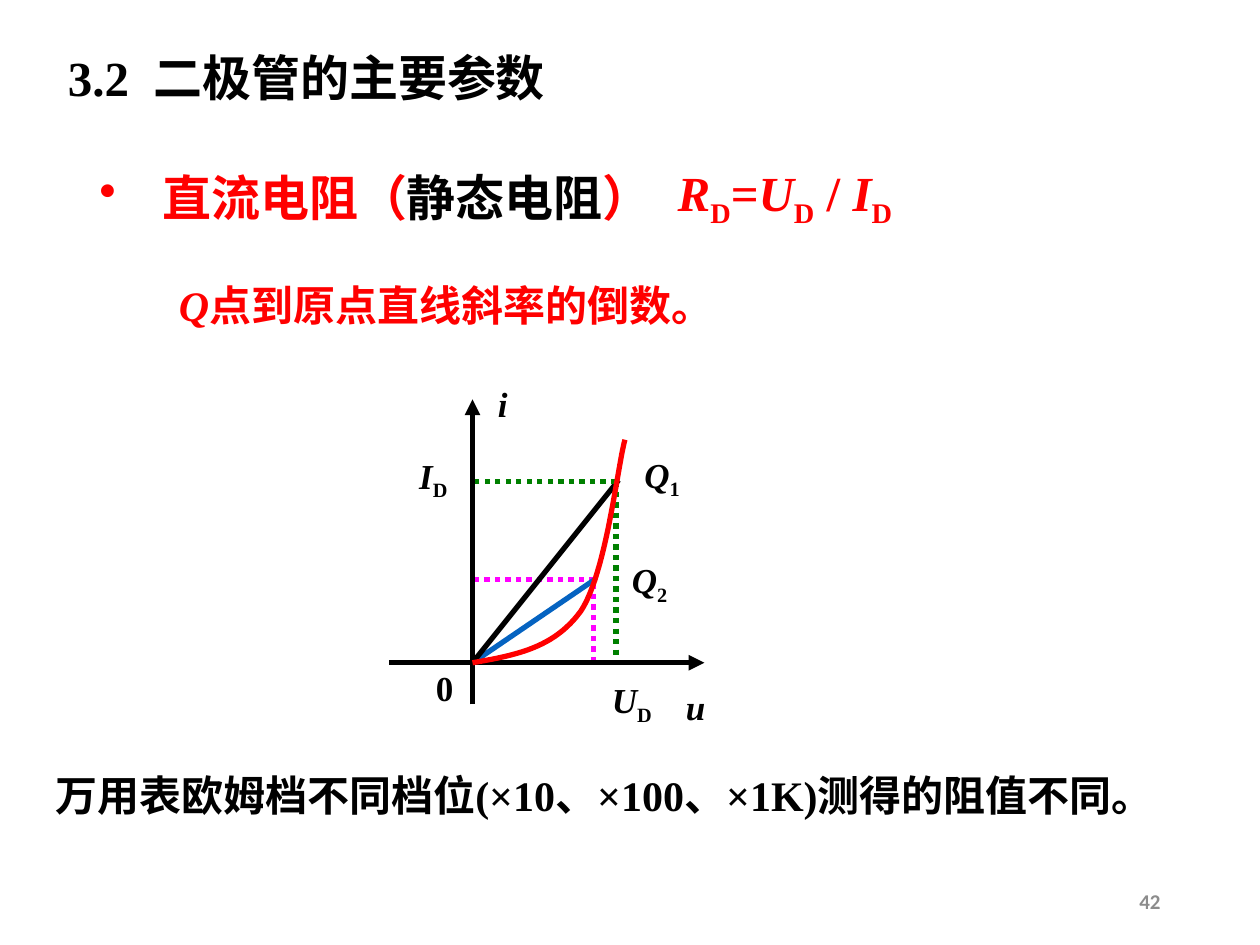
from dataclasses import dataclass

from lxml import etree
from pptx import Presentation
from pptx.dml.color import RGBColor
from pptx.enum.dml import MSO_LINE
from pptx.enum.shapes import MSO_CONNECTOR
from pptx.enum.text import MSO_ANCHOR, MSO_AUTO_SIZE, PP_ALIGN
from pptx.oxml.ns import qn
from pptx.util import Inches, Pt

BLACK = RGBColor(0x00, 0x00, 0x00)
RED = RGBColor(0xFF, 0x00, 0x00)
GREEN = RGBColor(0x00, 0x80, 0x00)
MAGENTA = RGBColor(0xFF, 0x00, 0xFF)
BLUE = RGBColor(0x05, 0x63, 0xC1)
GRAY = RGBColor(0x8C, 0x8C, 0x8C)
LEFT, CENTER, RIGHT = PP_ALIGN.LEFT, PP_ALIGN.CENTER, PP_ALIGN.RIGHT
TOP, MIDDLE = MSO_ANCHOR.TOP, MSO_ANCHOR.MIDDLE
FIT_SHAPE, NO_FIT = MSO_AUTO_SIZE.SHAPE_TO_FIT_TEXT, MSO_AUTO_SIZE.NONE
DOTTED = MSO_LINE.ROUND_DOT
STRAIGHT = MSO_CONNECTOR.STRAIGHT
LINE_WIDTH = Pt(3)

Point = tuple[float, float]


@dataclass
class Piece:
    text: str
    italic: bool = False
    subscript: bool = False
    color: RGBColor | None = None


@dataclass
class TextBlock:
    box: tuple[float, float, float, float]
    pieces: list[Piece]
    size: int
    color: RGBColor = BLACK
    font: str = "Times New Roman"
    align: PP_ALIGN = LEFT
    anchor: MSO_ANCHOR = TOP
    wrap: bool = True
    fit: MSO_AUTO_SIZE = FIT_SHAPE
    line_spacing: float | None = None
    space_before: int = 50
    bullet: str = ""


@dataclass
class Line:
    start: Point
    end: Point
    color: RGBColor = BLACK
    dotted: bool = False
    arrow: bool = False


def symbol(letter: str, index: str = "") -> list[Piece]:
    """Italic quantity with an optional upright subscript."""
    pieces = [Piece(letter, italic=True)]
    if index:
        pieces.append(Piece(index, subscript=True))
    return pieces


def axis_label(left: float, top: float, width: float, pieces: list[Piece],
               wrap: bool = False) -> TextBlock:
    return TextBlock((left, top, width, 0.43), pieces, 20,
                     align=CENTER, anchor=MIDDLE, wrap=wrap)


def draw_text(slide, block: TextBlock) -> None:
    shape = slide.shapes.add_textbox(*map(Inches, block.box))
    frame = shape.text_frame
    frame.word_wrap = block.wrap
    frame.auto_size = block.fit
    frame.vertical_anchor = block.anchor
    paragraph = frame.paragraphs[0]
    paragraph.alignment = block.align
    if block.line_spacing:
        paragraph.line_spacing = block.line_spacing
    properties = paragraph._p.get_or_add_pPr()
    if block.space_before:
        spacing = etree.SubElement(properties, qn("a:spcBef"))
        etree.SubElement(spacing, qn("a:spcPct"), val=str(block.space_before * 1000))
    if block.bullet:
        properties.set("marL", str(Inches(0.5)))
        properties.set("indent", str(Inches(-0.5)))
        etree.SubElement(properties, qn("a:buChar"), char=block.bullet)
    for piece in block.pieces:
        run = paragraph.add_run()
        run.text = piece.text
        run.font.name = block.font
        run.font.size = Pt(block.size)
        run.font.bold = True
        run.font.italic = piece.italic
        run.font.color.rgb = block.color if piece.color is None else piece.color
        if piece.subscript:
            run._r.get_or_add_rPr().set("baseline", "-25000")


def draw_line(slide, line: Line) -> None:
    connector = slide.shapes.add_connector(
        STRAIGHT, *map(Inches, line.start + line.end))
    connector.line.color.rgb = line.color
    connector.line.width = LINE_WIDTH
    if line.dotted:
        connector.line.dash_style = DOTTED
    if line.arrow:
        etree.SubElement(connector.line._get_or_add_ln(), qn("a:tailEnd"), type="triangle")
    etree.SubElement(connector._element.spPr, qn("a:effectLst"))


def bezier_points(controls: list[Point], steps: int = 24) -> list[Point]:
    """Points along a cubic Bezier, without its first one."""
    points = []
    for step in range(1, steps + 1):
        t = step / steps
        weights = ((1 - t) ** 3, 3 * t * (1 - t) ** 2, 3 * t * t * (1 - t), t ** 3)
        points.append(tuple(sum(w * c[axis] for w, c in zip(weights, controls))
                            for axis in (0, 1)))
    return points


def draw_curve(slide, controls: list[Point], color: RGBColor) -> None:
    """Joined cubic Beziers: a start point, then three points a segment."""
    points = []
    for first in range(0, len(controls) - 1, 3):
        points += bezier_points(controls[first:first + 4])
    builder = slide.shapes.build_freeform(*map(Inches, controls[0]))
    builder.add_line_segments(
        [(Inches(x), Inches(y)) for x, y in points], close=False)
    shape = builder.convert_to_shape()
    shape.shadow.inherit = False
    shape.fill.background()
    shape.line.color.rgb = color
    shape.line.width = LINE_WIDTH


ORIGIN = (3.75, 5.26)
DIODE_CURVE = [(4.96, 3.49), (4.9, 3.71), (4.81, 4.55), (4.61, 4.85),
               (4.4, 5.14), (4.1, 5.2), ORIGIN]

GRAPH_LINES = [
    Line((4.72, 4.6), (3.74, 4.6), MAGENTA, dotted=True),
    Line((4.71, 4.63), (4.71, 5.28), MAGENTA, dotted=True),
    Line((4.89, 3.82), (4.89, 5.26), GREEN, dotted=True),
    Line(ORIGIN, (4.72, 4.6), BLUE),
    Line(ORIGIN, (4.91, 3.81)),
    Line((4.89, 3.82), (3.73, 3.82), GREEN, dotted=True),
    Line((3.75, 5.59), (3.75, 3.17), arrow=True),
    Line((3.09, 5.26), (5.59, 5.26), arrow=True),
]

TEXT_BLOCKS = [
    TextBlock((0.44, 0.33, 5.02, 0.57), [Piece("3.2  二极管的主要参数")], 28),
    TextBlock((0.69, 1.28, 5.8, 0.57),
              [Piece("直流电阻（"), Piece("静态电阻", color=BLACK), Piece("）")],
              28, RED, bullet="•"),
    TextBlock((5.28, 1.24, 2.25, 0.57),
              [*symbol("R", "D"), Piece("="), *symbol("U", "D"),
               Piece(" / "), *symbol("I", "D")], 28, RED),
    TextBlock((0.89, 2.05, 5.3, 0.63),
              [*symbol("Q"), Piece("点到原点直线斜率的倒数。")],
              24, RED, align=CENTER, line_spacing=1.3),
    axis_label(3.22, 3.58, 0.44, symbol("I", "D")),
    axis_label(4.75, 5.36, 0.53, symbol("U", "D")),
    axis_label(5, 3.57, 0.51, symbol("Q", "1"), wrap=True),
    axis_label(4.9, 4.41, 0.51, symbol("Q", "2"), wrap=True),
    axis_label(3.85, 2.99, 0.28, symbol("i")),
    axis_label(5.34, 5.39, 0.36, symbol("u")),
    axis_label(3.36, 5.24, 0.34, [Piece("0")]),
    TextBlock((0.34, 5.94, 9.15, 0.63),
              [Piece("万用表欧姆档不同档位(×10、×100、×1K)测得的阻值不同。")],
              24, line_spacing=1.3),
    TextBlock((7.06, 6.95, 2.25, 0.4), [Piece("42")], 12, GRAY, "Calibri",
              align=RIGHT, anchor=MIDDLE, fit=NO_FIT, space_before=0),
]


def main() -> None:
    presentation = Presentation()
    presentation.slide_width = Inches(10)
    presentation.slide_height = Inches(7.5)
    slide = presentation.slides.add_slide(presentation.slide_layouts[6])
    for line in GRAPH_LINES:
        draw_line(slide, line)
    draw_curve(slide, DIODE_CURVE, RED)
    for block in TEXT_BLOCKS:
        draw_text(slide, block)
    presentation.save("out.pptx")


if __name__ == "__main__":
    main()
